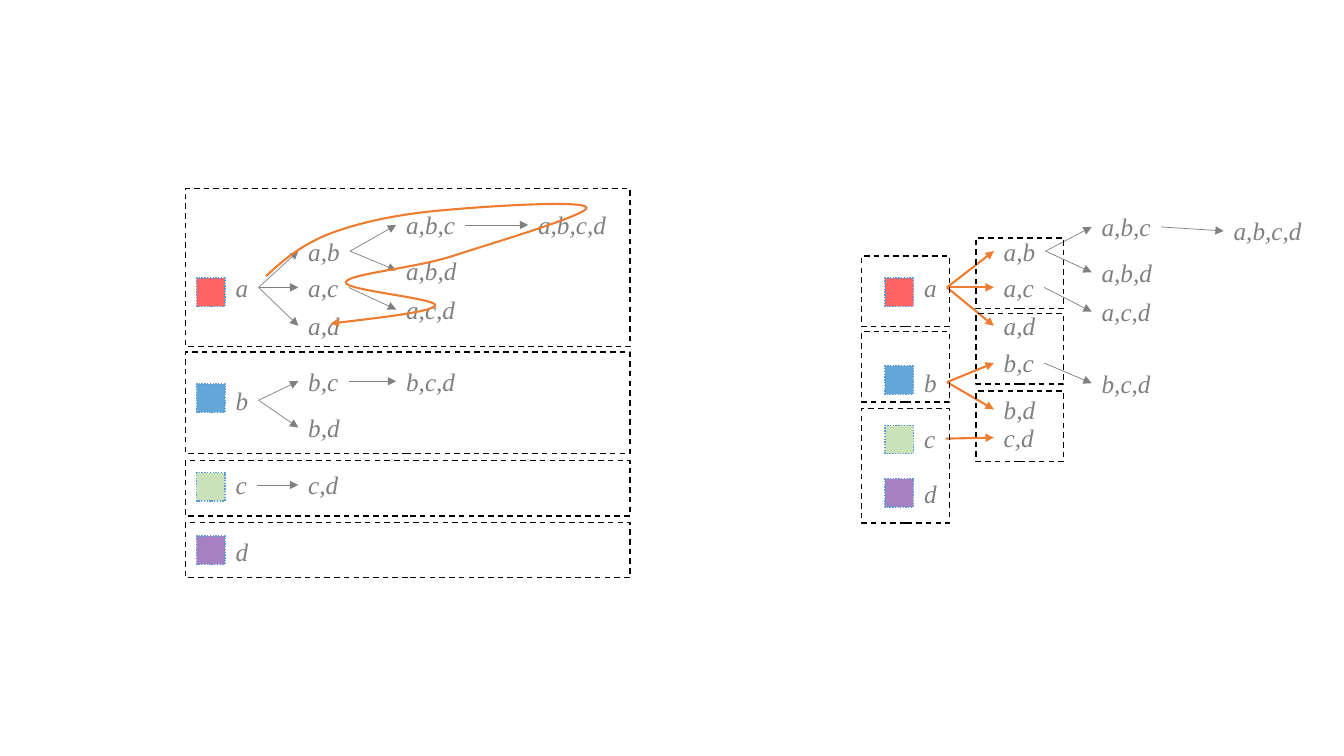
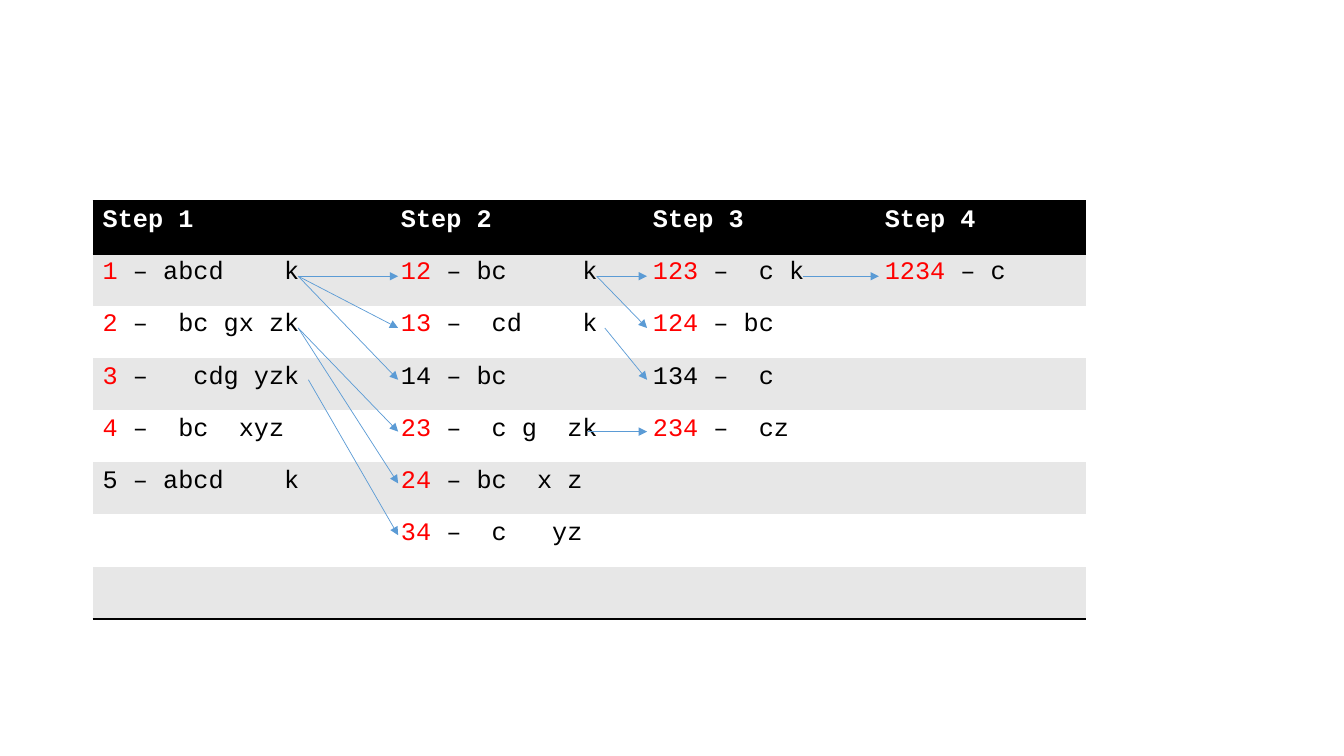
from lxml.etree import SubElement
from pptx import Presentation
from pptx.dml.color import RGBColor
from pptx.enum.dml import MSO_LINE_DASH_STYLE as Dash
from pptx.enum.shapes import MSO_CONNECTOR as Link, MSO_SHAPE as Shape
from pptx.oxml.ns import qn
from pptx.util import Pt

GREY, ORANGE, BLUE = "808080", "ED7D31", "5B9BD5"
BLACK, WHITE, RED, BAND = "000000", "FFFFFF", "FF0000", "E7E7E7"
ITALIC = {"name": "Times New Roman", "size": Pt(18), "italic": True}
MONO = {"name": "Courier New", "size": Pt(18)}
NO_STYLE = "{2D5ABB26-0587-4C30-8999-92F81FD0307C}"
LABEL_H = 29
SIDE = 20.2

TINTS = ["FF0000", "0070C0", "A9D18E", "7030A0"]

# Each tree: column lefts, label tops, square left and tops, root arrow style
DEEP = {
    "cols": [161.3, 213.1, 283, 377.3],
    "tops": {
        "a": 190.8, "b": 271.4, "c": 331.9, "d": 379.4,
        "a,b": 164.9, "a,c": 190.8, "a,d": 218.2,
        "b,c": 257.8, "b,d": 290.9, "c,d": 331.9,
        "a,b,c": 146.2, "a,b,d": 178.6, "a,c,d": 206.6, "b,c,d": 257.8,
        "a,b,c,d": 146.2,
    },
    "left": 140.4, "squares": [198.7, 274.3, 337.7, 383], "root": (GREY, 0.5),
}
WIDE = {
    "cols": [653, 709.9, 779.8, 874.1],
    "tops": {
        "a": 190.8, "b": 258.5, "c": 298.8, "d": 338.4,
        "a,b": 164.9, "a,c": 190.8, "a,d": 218.2,
        "b,c": 244.8, "b,d": 277.9, "c,d": 298.1,
        "a,b,c": 147.6, "a,b,d": 180, "a,c,d": 208.1, "b,c,d": 259.2,
        "a,b,c,d": 150.5,
    },
    "left": 632.2, "squares": [198.7, 261.4, 303.8, 342], "root": (ORANGE, 1.5),
}
# Left, width, then (top, height) of each frame in the stack
FRAMES = [
    (132.5, 317.5, [(134.6, 113), (251.3, 72.7), (329, 39.6), (373, 39.6)]),
    (697.2, 62.6, [(169.9, 50.4), (223.9, 50.4), (279.4, 50.4)]),
    (615.6, 62.6, [(182.9, 50.4), (236.9, 50.4), (291.6, 82.1)]),
]
# Start point, then two handles and an end point for each curve
ROUTE = [
    (190, 197.3),
    (202.3, 185.8), (215.3, 175), (235.4, 167),
    (256.3, 159.1), (282.2, 153.4), (313.2, 150.5),
    (343.4, 147.6), (417.6, 142.6), (419, 148.3),
    (420.5, 153.4), (349.9, 174.2), (321.1, 183.6),
    (292.3, 192.2), (248.4, 195.8), (247, 201.6),
    (245.5, 207.4), (312.5, 213.1), (311, 218.2),
    (308.9, 222.5), (272.9, 226.8), (236.2, 231.1),
]

WIDTHS = [213, 180, 165.6, 151.2]
ROW_H = 37.25
ROWS = [
    ["Step 1", "Step 2", "Step 3", "Step 4"],
    ["1 – abcd    k", "12 – bc     k", "123 –  c k", "1234 – c"],
    ["2 –  bc gx zk", "13 –  cd    k", "124 – bc", ""],
    ["3 –   cdg yzk", "14 – bc", "134 –  c", ""],
    ["4 –  bc  xyz", "23 –  c g  zk", "234 –  cz", ""],
    ["5 – abcd    k", "24 – bc  x z", "", ""],
    ["", "34 –  c   yz", "", ""],
    ["", "", "", ""],
]
RARE = {"5", "14", "134"}
# Start x, start row, end x, end rows
STEPS = [
    (213, 0, 284.4, [0, 1, 2]),
    (213, 1, 284.4, [3, 4]),
    (220.3, 2, 284.4, [5]),
    (426.2, 0, 462.2, [0, 1]),
    (432, 1, 462.2, [2]),
    (419.8, 3, 462.2, [3]),
    (573.8, 0, 627.8, [0]),
]


def rgb(code):
    return RGBColor.from_string(code)


def assign(thing, values):
    for name, value in values.items():
        setattr(thing, name, value)


def stroke(line, color, width, dash=None):
    line.color.rgb = rgb(color)
    assign(line, {"width": Pt(width), "dash_style": dash})


def fill(thing, color):
    thing.fill.solid()
    thing.fill.fore_color.rgb = rgb(color)


def tip(line):
    SubElement(line._get_or_add_ln(), qn("a:tailEnd"), type="triangle")


def arrow(slide, start, end, color, width):
    """Draw an arrow between two points given in points."""
    link = slide.shapes.add_connector(
        Link.STRAIGHT, *[Pt(v) for v in (*start, *end)])
    stroke(link.line, color, width)
    tip(link.line)
    SubElement(link._element.spPr, qn("a:effectLst"))
    return link


def label(slide, text, left, top):
    """Add a text box as wide as its italic letters."""
    width = 14.4 + sum({",": 4.5, "c": 8}.get(char, 9) for char in text)
    box = slide.shapes.add_textbox(Pt(left), Pt(top), Pt(width), Pt(LABEL_H))
    box.text_frame.word_wrap = False
    run = box.text_frame.paragraphs[0].add_run()
    run.text = text
    assign(run.font, ITALIC)
    run.font.color.rgb = rgb(GREY)
    return box


def rect(slide, left, top, width, height):
    shape = slide.shapes.add_shape(
        Shape.RECTANGLE, Pt(left), Pt(top), Pt(width), Pt(height))
    shape.shadow.inherit = False
    return shape


def square(slide, left, top, color):
    shape = rect(slide, left, top, SIDE, SIDE)
    fill(shape, color)
    stroke(shape.line, BLUE, 1, Dash.ROUND_DOT)
    tint = shape._element.spPr.find(qn("a:solidFill"))[0]
    SubElement(tint, qn("a:alpha"), val="61000")


def frame(slide, left, top, width, height):
    shape = rect(slide, left, top, width, height)
    shape.fill.background()
    stroke(shape.line, BLACK, 1, Dash.DASH)


def tree(slide, cols, tops, left, squares, root):
    """Place the labels by length and join each one to its prefix."""
    boxes = {}
    for text, top in tops.items():
        depth = text.count(",")
        boxes[text] = label(slide, text, cols[depth], top)
        if depth:
            look = root if depth == 1 else (GREY, 0.5)
            link = arrow(slide, (0, 0), (0, 0), *look)
            link.begin_connect(boxes[text.rpartition(",")[0]], 3)
            link.end_connect(boxes[text], 1)
    for top, color in zip(squares, TINTS):
        square(slide, left, top, color)


def curve(slide, points):
    """Draw a curved arrow through cubic Bézier points."""
    start, *rest = [(Pt(x), Pt(y)) for x, y in points]
    pen = slide.shapes.build_freeform(*start)
    pen.add_line_segments(rest, close=False)
    shape = pen.convert_to_shape()
    shape.shadow.inherit = False
    shape.fill.background()
    stroke(shape.line, ORANGE, 1.5)
    tip(shape.line)
    track = shape._element.xpath(".//a:path")[0]
    lines = track.findall(qn("a:lnTo"))
    for first in range(0, len(lines), 3):
        bend = SubElement(track, qn("a:cubicBezTo"))
        for part in lines[first:first + 3]:
            bend.append(part[0])
            track.remove(part)


def edge(cell, side):
    """Add a black rule to the cell: lnT above or lnB below."""
    props = cell._tc.get_or_add_tcPr()
    rule = SubElement(props, qn("a:" + side), w=str(Pt(2)))
    ink = SubElement(rule, qn("a:solidFill"))
    SubElement(ink, qn("a:srgbClr"), val=BLACK)
    props.insert(0, rule)


def write(cell, text, head):
    key, gap, rest = text.partition(" – ")
    lead = WHITE if head else BLACK if key in RARE else RED
    para = cell.text_frame.paragraphs[0]
    for part, color in ((key, lead), (gap + rest, BLACK)):
        if part:
            run = para.add_run()
            run.text = part
            assign(run.font, {**MONO, "bold": head})
            run.font.color.rgb = rgb(color)


def grid(slide, left, top):
    shape = slide.shapes.add_table(
        len(ROWS), len(WIDTHS), Pt(left), Pt(top),
        Pt(sum(WIDTHS)), Pt(ROW_H * len(ROWS)))
    shape._element.xpath(".//a:tableStyleId")[0].text = NO_STYLE
    table = shape.table
    for col, width in zip(table.columns, WIDTHS):
        col.width = Pt(width)
    for r, texts in enumerate(ROWS):
        table.rows[r].height = Pt(ROW_H)
        for c, text in enumerate(texts):
            cell = table.cell(r, c)
            fill(cell, BLACK if r == 0 else BAND if r % 2 else WHITE)
            write(cell, text, r == 0)
            if r in (0, len(ROWS) - 1):
                edge(cell, "lnB")
            if r == 0:
                edge(cell, "lnT")


def row_y(row):
    return 197.3 + 37 * row


def main():
    deck = Presentation()
    assign(deck, {"slide_width": Pt(960), "slide_height": Pt(540)})
    blank = deck.slide_layouts[6]

    slide = deck.slides.add_slide(blank)
    tree(slide, **DEEP)
    curve(slide, ROUTE)
    tree(slide, **WIDE)
    for left, width, stack in FRAMES:
        for top, height in stack:
            frame(slide, left, top, width, height)

    slide = deck.slides.add_slide(blank)
    grid(slide, 66.2, 144)
    for x, row, end, targets in STEPS:
        for target in targets:
            arrow(slide, (x, row_y(row)), (end, row_y(target)), BLUE, 0.5)

    deck.save("out.pptx")


if __name__ == "__main__":
    main()
